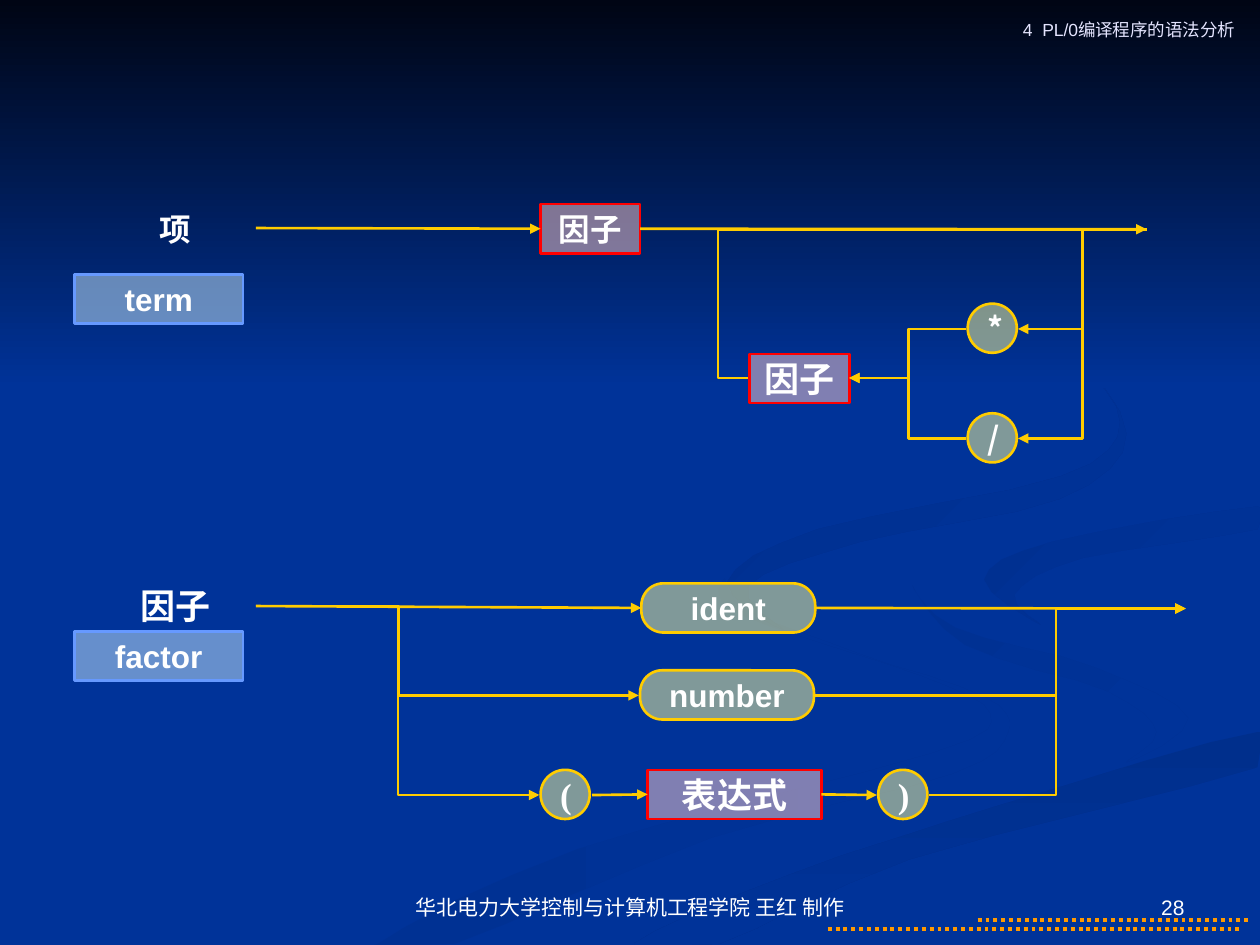
"""Build the PL/0 syntax diagram slide for term and factor."""
import pptx
import pptx.util
import pptx.dml.color
import pptx.enum.dml
import pptx.enum.shapes
import pptx.enum.text
import pptx.oxml
import pptx.oxml.ns

Inches = pptx.util.Inches
Pt = pptx.util.Pt
RGB = pptx.dml.color.RGBColor
KIND = pptx.enum.shapes.MSO_SHAPE
LINK = pptx.enum.shapes.MSO_CONNECTOR
ANCHOR = pptx.enum.text.MSO_ANCHOR
ALIGN = pptx.enum.text.PP_ALIGN
qn = pptx.oxml.ns.qn
NS = pptx.oxml.ns.nsdecls("a")

BLUE = RGB.from_string("003399")
NIGHT = RGB.from_string("000514")
SHADE = RGB.from_string("003193")
DARK = RGB.from_string("002F8C")
DEEP = RGB.from_string("003091")
DIM = RGB.from_string("002F8E")
WHITE = RGB.from_string("FFFFFF")
PALE = RGB.from_string("E5E5FF")
GOLD = RGB.from_string("FFCC00")
CREAM = RGB.from_string("FFFF99")
RED = RGB.from_string("FF0000")
PINK = RGB.from_string("FFCCCC")
SKY = RGB.from_string("CCECFF")
AZURE = RGB.from_string("6699FF")
ORANGE = RGB.from_string("FF9900")

SANS, CJK, SERIF = "Arial", "Noto Sans CJK SC", "Times New Roman"
SIDE = 0.39

deck = pptx.Presentation()
deck.slide_width = Inches(10)
deck.slide_height = Inches(7.5)
slide = deck.slides.add_slide(deck.slide_layouts[6])
slide.background.fill.solid()
slide.background.fill.fore_color.rgb = BLUE


def box(text, left, top, width, height=SIDE, size=18, font=SANS, kind=None, fill=None,
        edge=None, bold=True, color=WHITE, align=ALIGN.CENTER, anchor=ANCHOR.MIDDLE):
    place = [Inches(n) for n in (left, top, width, height)]
    if kind is None:
        shape = slide.shapes.add_textbox(*place)
    else:
        shape = slide.shapes.add_shape(kind, *place)
        shape.shadow.inherit = False
        shape.fill.solid()
        shape.fill.fore_color.rgb = fill
        tint = shape.element.spPr.find(qn("a:solidFill"))[0]
        tint.append(pptx.oxml.parse_xml(f'<a:alpha {NS} val="50000"/>'))
        shape.line.color.rgb = edge
        shape.line.width = Pt(1.5)
    frame = shape.text_frame
    frame.word_wrap = True
    frame.vertical_anchor = anchor
    para = frame.paragraphs[0]
    para.alignment = align
    run = para.add_run()
    run.text = text
    run.font.size = Pt(size)
    run.font.name = font
    run.font.bold = bold
    run.font.color.rgb = color
    return shape


def wire(x1, y1, x2, y2, turn=None, head=True, color=GOLD, width=1.5):
    kind = LINK.STRAIGHT if turn is None else LINK.ELBOW
    line = slide.shapes.add_connector(kind, *[Inches(n) for n in (x1, y1, x2, y2)])
    line.line.color.rgb = color
    line.line.width = Pt(width)
    props = line.element.spPr
    if turn is not None:
        bend = round((turn - x1) / (x2 - x1) * 100000)
        guide = f'<a:gd {NS} name="adj1" fmla="val {bend}"/>'
        props.find(qn("a:prstGeom")).get_or_add_avLst().append(pptx.oxml.parse_xml(guide))
    if head:
        tip = pptx.oxml.parse_xml(f'<a:tailEnd {NS} type="triangle"/>')
        props.find(qn("a:ln")).append(tip)
    props.append(pptx.oxml.parse_xml(f"<a:effectLst {NS}/>"))
    return line


ribbons = [
    (SHADE, BLUE, 0, [
        (5.75, 4.59), (5.94, 4.85), (6.82, 5.19), (7.81, 5.53), (8, 5.81), (7.56, 6.14),
        (5.64, 6.65), (3.61, 7.49), (3, 7.49), (4.58, 6.74), (7.39, 5.98), (7.86, 5.66),
        (7.28, 5.35), (5.86, 4.87)]),
    (SHADE, BLUE, 45, [
        (7.24, 4.64), (7.58, 4.98), (8.7, 5.3), (9.43, 5.7), (8.94, 6.05), (9.18, 5.81),
        (8.8, 5.49), (7.66, 5.12)]),
    (DARK, BLUE, 90, [
        (5.03, 7.49), (5.71, 7.49), (7.22, 6.82), (9.98, 6.09), (9.98, 5.81), (7.97, 6.38),
        (6.3, 6.93)]),
    (DEEP, BLUE, 45, [
        (7.81, 4.6), (8.26, 4.96), (8.05, 4.72), (8.59, 4.43), (9.98, 4.2), (9.98, 4.02),
        (8.35, 4.3)]),
    (DIM, BLUE, 45, [
        (7.62, 2.33), (8.46, 2.79), (8.89, 3.35), (8.42, 3.78), (6.49, 4.2), (5.77, 4.62),
        (6.22, 5), (5.94, 4.65), (6.83, 4.3), (8.41, 3.96), (8.94, 3.44), (8.43, 2.75)]),
]
art = []
for first, last, angle, knots in ribbons:
    curve = []
    for i, b in enumerate(knots):
        a, c, d = knots[i - 1], knots[(i + 1) % len(knots)], knots[(i + 2) % len(knots)]
        for t in (0, 0.25, 0.5, 0.75):
            curve.append([
                q + t * (r - p + t * (2 * p - 5 * q + 4 * r - s + t * (3 * (q - r) + s - p))) / 2
                for p, q, r, s in zip(a, b, c, d)])
    curve = [(min(round(x * 100), 1000), min(round(y * 100), 750)) for x, y in curve]
    form = slide.shapes.build_freeform(*curve[0], scale=Inches(0.01))
    form.add_line_segments(curve[1:], close=True)
    art.append((form.convert_to_shape(), first, last, angle))
night = slide.shapes.add_shape(KIND.RECTANGLE, 0, 0, Inches(10), Inches(3.08))
art.append((night, NIGHT, BLUE, 90))
for shape, first, last, angle in art:
    shape.shadow.inherit = False
    shape.line.fill.background()
    shape.fill.gradient()
    shape.fill.gradient_angle = (360 - angle) % 360
    for stop, shade in zip(shape.fill.gradient_stops, (first, last)):
        stop.color.rgb = shade

for left, right, top in ((7.76, 9.92, 7.3), (6.57, 9.84, 7.37)):
    dots = wire(left, top, right, top, head=False, color=ORANGE, width=2.25)
    dots.line.dash_style = pptx.enum.dml.MSO_LINE.ROUND_DOT

box("28", 7.17, 6.83, 2.33, 0.52, 12, bold=False, align=ALIGN.RIGHT, anchor=ANCHOR.BOTTOM)
box("华北电力大学控制与计算机工程学院 王红 制作", 3.11, 6.83, 3.78, 0.52, 12,
    bold=False, anchor=ANCHOR.BOTTOM)
box("4  PL/0编译程序的语法分析", 8, 0.1, 1.9, 0.27, 10, bold=False, color=PALE,
    align=ALIGN.RIGHT, anchor=ANCHOR.TOP)

box("项", 0.75, 1.6, 1.28, 0.43)
box("因子", 0.75, 4.59, 1.28, 0.43, 20, SERIF)
for text, top in (("term", 2.18), ("factor", 5.01)):
    tag = box(text, 0.59, top, 1.34, kind=KIND.RECTANGLE, fill=SKY, edge=AZURE)
    frame = tag.text_frame
    frame.word_wrap = False
    frame.margin_left = frame.margin_right = frame.margin_top = frame.margin_bottom = 0

rules = [box(text, left, top, width, SIDE, size, font, KIND.RECTANGLE, PINK, RED)
         for text, left, top, width, size, font in (
             ("因子", 4.29, 1.62, 0.79, 18, SANS),
             ("因子", 5.95, 2.81, 0.79, 20, SERIF),
             ("表达式", 5.14, 6.11, 1.38, 20, SERIF))]
for text, left, top, size, font in (
        ("*", 7.68, 2.41, 18, CJK), ("/", 7.68, 3.28, 18, CJK),
        ("(", 4.29, 6.11, 20, SERIF), (")", 6.97, 6.11, 20, SERIF)):
    box(text, left, top, SIDE, SIDE, size, font, KIND.FLOWCHART_CONNECTOR, CREAM, GOLD)
pills = [box(text, left, top, 1.38, kind=KIND.ROUNDED_RECTANGLE, fill=CREAM, edge=GOLD)
         for text, left, top in (("ident", 5.09, 4.63), ("number", 5.08, 5.32))]
for pill in pills:
    pill.adjustments[0] = 0.45

for node, x1, y1, x2, y2 in (
        (rules[0], 2.03, 1.81, 9.1, 1.82), (pills[0], 2.03, 4.81, 9.41, 4.83),
        (rules[2], 4.7, 6.31, 6.96, 6.31)):
    wire(x1, y1, x2, y2).end_connect(node, 1)
    wire(x1, y2, x2, y2).begin_connect(node, 3)

wire(9.1, 1.82, 5.94, 3, 5.7, head=False)
for x1, y1, x2, y2, turn in (
        (7.67, 2.61, 6.74, 3, 7.21), (7.67, 3.48, 6.74, 3, 7.21),
        (9.1, 1.82, 8.08, 2.61, 8.59), (9.1, 1.82, 8.08, 3.48, 8.59),
        (7.37, 6.31, 9.41, 4.83, 8.38), (6.47, 5.52, 9.41, 4.83, 8.38),
        (2.03, 4.81, 5.07, 5.52, 3.16), (2.03, 4.81, 4.28, 6.31, 3.16)):
    wire(x1, y1, x2, y2, turn)

deck.save("out.pptx")
